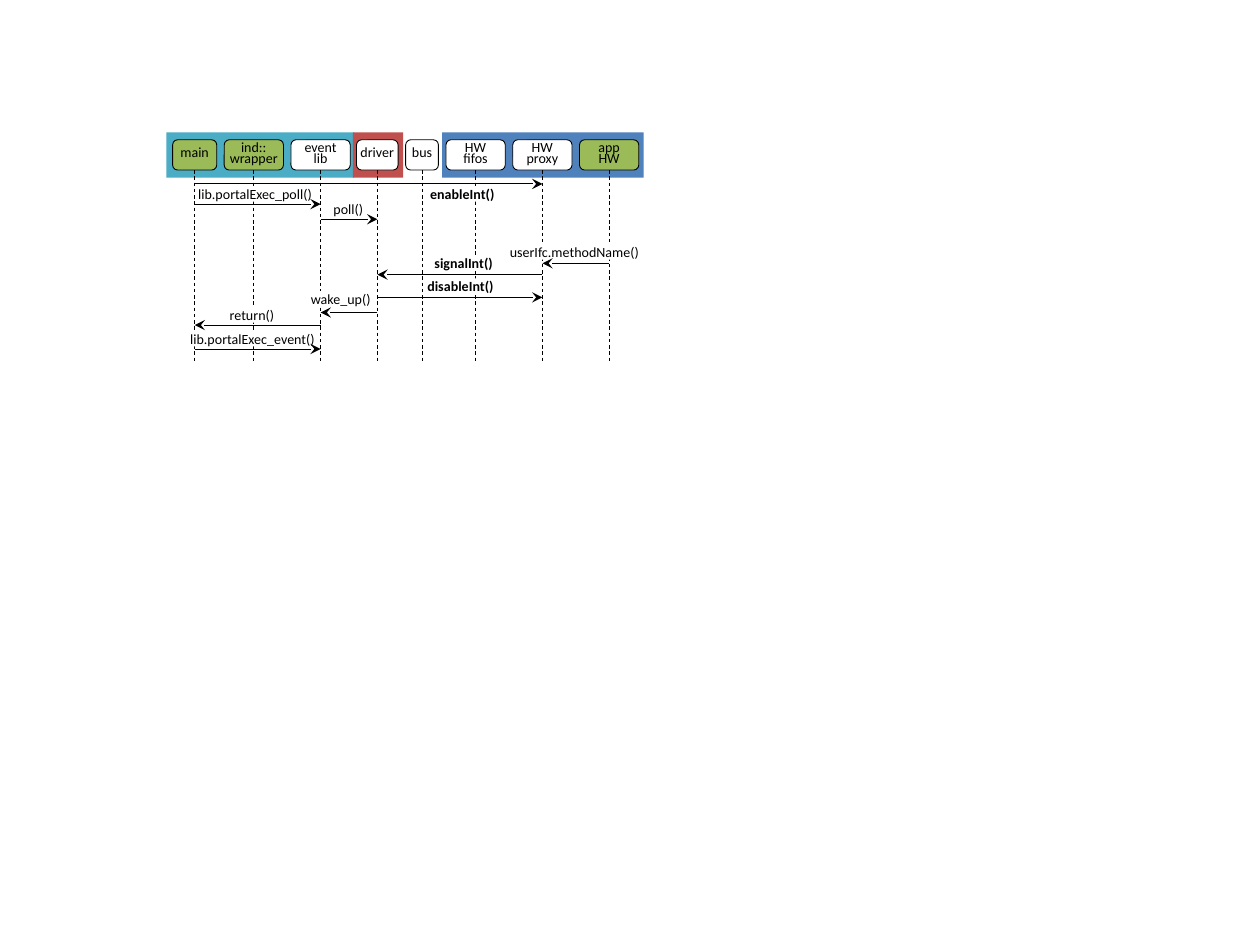
"""Build a sequence diagram of portal interrupt handling."""
from lxml.etree import SubElement
from pptx import Presentation
from pptx.dml.color import RGBColor
from pptx.enum.dml import MSO_LINE as Dash
from pptx.enum.shapes import MSO_CONNECTOR as Link, MSO_SHAPE as Shape
from pptx.enum.text import MSO_ANCHOR as Anchor, PP_ALIGN as Align
from pptx.oxml.ns import qn
from pptx.util import Inches, Pt

HEX = {"teal": "4BACC6", "red": "C0504D", "blue": "4F81BD",
       "green": "9BBB59", "white": "FFFFFF", "black": "000000"}

# left, width, colour
BANDS = [(1.32, 1.49, "teal"), (2.8, 0.4, "red"), (3.51, 1.6, "blue")]

# name: left, width, colour
ACTORS = {
    "main": (1.37, 0.35, "green"),
    "ind::\nwrapper": (1.78, 0.47, "green"),
    "event\nlib": (2.31, 0.47, "white"),
    "driver": (2.83, 0.33, "white"),
    "bus": (3.22, 0.26, "white"),
    "HW\nfifos": (3.54, 0.47, "white"),
    "HW\nproxy": (4.07, 0.47, "white"),
    "app\nHW": (4.6, 0.47, "green"),
}

# sender, receiver, arrow height, label, label left, top, width, bold
CALLS = [
    ("main", "HW\nproxy", 1.46, "enableInt()", 3.39, 1.48, 0.56, True),
    ("main", "event\nlib", 1.62, "lib.portalExec_poll()", 1.57, 1.48, 0.91, False),
    ("event\nlib", "driver", 1.74, "poll()", 2.63, 1.6, 0.27, False),
    ("app\nHW", "HW\nproxy", 2.09, "userIfc.methodName()", 4.01, 1.94, 1.1, False),
    ("HW\nproxy", "driver", 2.18, "signalInt()", 3.42, 2.03, 0.52, True),
    ("driver", "HW\nproxy", 2.36, "disableInt()", 3.37, 2.21, 0.57, True),
    ("driver", "event\nlib", 2.48, "wake_up()", 2.5, 2.31, 0.41, False),
    ("event\nlib", "main", 2.58, "return()", 1.62, 2.44, 0.76, False),
    ("main", "event\nlib", 2.77, "lib.portalExec_event()", 1.49, 2.63, 1.03, False),
]

TOP, HIGH, END = 1.11, 0.24, 2.91


def color(name):
    return RGBColor.from_string(HEX[name])


def add_box(slide, kind, at, fill, line=None):
    box = slide.shapes.add_shape(kind, *map(Inches, at))
    box.shadow.inherit = False
    box.fill.solid()
    box.fill.fore_color.rgb = color(fill)
    if line:
        box.line.color.rgb = color(line)
        box.line.width = Pt(0.5)
    else:
        box.line.fill.background()
    return box


def set_text(box, text, bold=False, space=None):
    frame = box.text_frame
    frame.text = text
    frame.word_wrap = False
    frame.vertical_anchor = Anchor.MIDDLE
    frame.margin_left = frame.margin_right = 0
    frame.margin_top = frame.margin_bottom = 0
    for para in frame.paragraphs:
        para.alignment = Align.CENTER
        para.line_spacing = space
        for run in para.runs:
            run.font.name = "Calibri"
            run.font.size = Pt(8)
            run.font.bold = bold
            run.font.color.rgb = color("black")


def add_line(slide, start, end):
    line = slide.shapes.add_connector(Link.STRAIGHT, *map(Inches, start + end))
    line.line.color.rgb = color("black")
    line.line.width = Pt(0.5)
    SubElement(line._element.spPr, qn("a:effectLst"))
    return line


def add_arrow(slide, start, end):
    arrow = add_line(slide, start, end)
    SubElement(arrow.line._get_or_add_ln(), qn("a:tailEnd"), type="stealth")


def main():
    deck = Presentation()
    deck.slide_width, deck.slide_height = Inches(10), Inches(7.5)
    slide = deck.slides.add_slide(deck.slide_layouts[6])

    for left, width, fill in BANDS:
        add_box(slide, Shape.RECTANGLE, (left, 1.05, width, 0.36), fill)

    mids = {}
    for name, (left, width, fill) in ACTORS.items():
        box = add_box(slide, Shape.ROUNDED_RECTANGLE,
                      (left, TOP, width, HIGH), fill, "black")
        set_text(box, name, space=Pt(6.6))
        mid = mids[name] = left + width / 2
        life = add_line(slide, (mid, TOP + HIGH), (mid, END))
        life.begin_connect(box, 2)
        life.line.dash_style = Dash.DASH

    add_box(slide, Shape.RECTANGLE, (1.37, 2.89, 3.63, 0.05), "white", "white")

    for source, target, y, text, left, top, width, bold in CALLS:
        label = add_box(slide, Shape.RECTANGLE, (left, top, width, 0.12), "white")
        set_text(label, text, bold)
        add_arrow(slide, (mids[source], y), (mids[target], y))

    deck.save("out.pptx")


if __name__ == "__main__":
    main()
